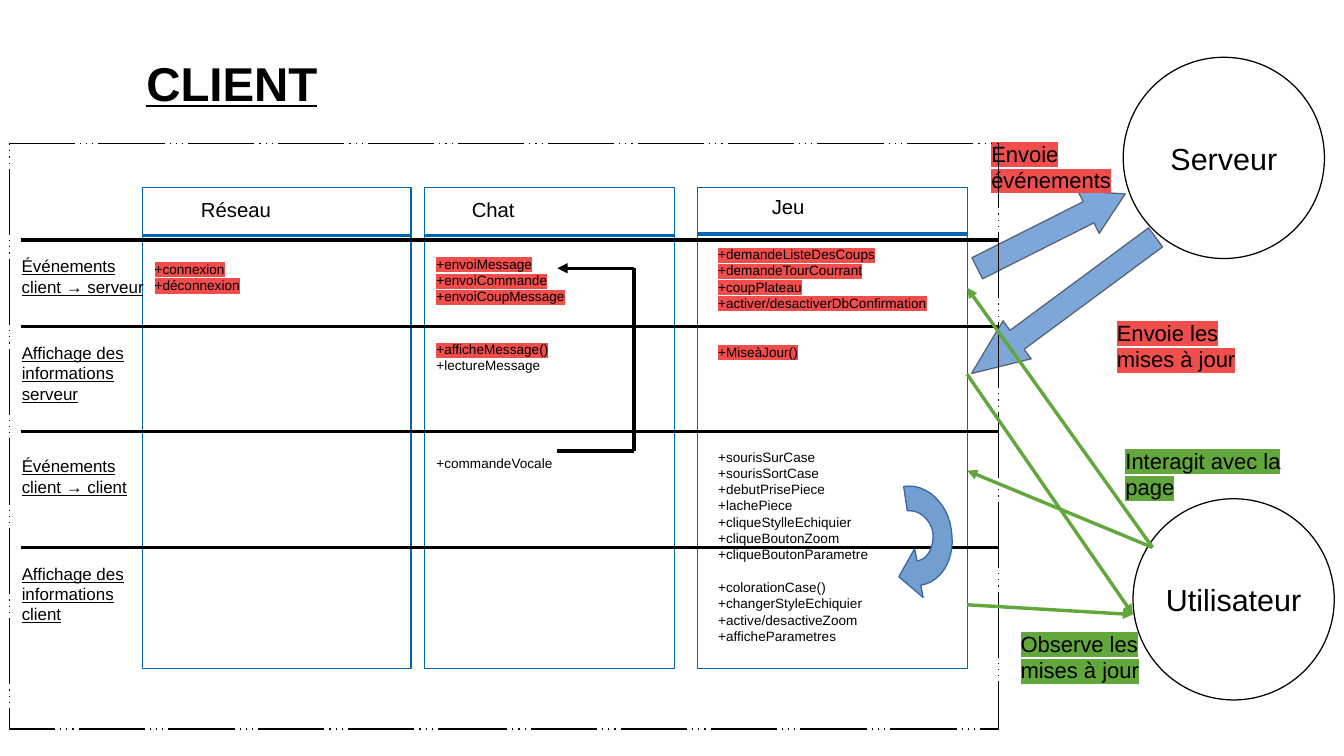
from lxml import etree
from pptx import Presentation
from pptx.dml.color import RGBColor
from pptx.enum.shapes import MSO_CONNECTOR, MSO_SHAPE
from pptx.enum.text import MSO_ANCHOR, MSO_AUTO_SIZE, PP_ALIGN
from pptx.oxml.ns import qn
from pptx.util import Inches, Pt

STRAIGHT = MSO_CONNECTOR.STRAIGHT
RECT, PROCESS = MSO_SHAPE.RECTANGLE, MSO_SHAPE.FLOWCHART_PROCESS
OVAL, ARROW = MSO_SHAPE.OVAL, MSO_SHAPE.RIGHT_ARROW
TOP, MIDDLE = MSO_ANCHOR.TOP, MSO_ANCHOR.MIDDLE
LEFT, CENTER = PP_ALIGN.LEFT, PP_ALIGN.CENTER
NO_AUTOFIT = MSO_AUTO_SIZE.NONE

COLORS = {"black": "000000", "blue": "0066B3", "red": "F04E4D", "green": "62A73B",
          "event": "7DA7D8", "loop": "729FCF", "loop_edge": "3465A4"}
FONT = "Arial"
SLIDE_W, SLIDE_H = 11.02, 6.2
FRAME = (0.08, 1.18, 8.11, 4.8)
COLUMN_TOP, COLUMN_H = 1.54, 3.94
ROW_LINES = [1.97, 2.68, 3.54, 4.49]
ROW_LEFT, ROW_RIGHT = 0.17, 8.19
ROW_LABELS = [("Événements\nclient → serveur", 1.37), ("Affichage des informations serveur", 1.12),
              ("Événements client → client", 1.18), ("Affichage des informations client", 1.21)]

COLUMNS = [
    {"name": "Jeu", "left": 5.72, "width": 2.21, "name_at": (6.23, 1.54),
     "divider": 1.92, "text_left": 5.79,
     "methods": [
         (1.97, "red", ["+demandeListeDesCoups", "+demandeTourCourrant", "+coupPlateau",
                        "+activer/desactiverDbConfirmation"]),
         (2.77, "red", ["+MiseàJour()"]),
         (3.63, None, ["+sourisSurCase", "+sourisSortCase", "+debutPrisePiece", "+lachePiece",
                       "+cliqueStylleEchiquier", "+cliqueBoutonZoom", "+cliqueBoutonParametre"]),
         (4.7, None, ["+colorationCase()", "+changerStyleEchiquier", "+active/desactiveZoom",
                      "+afficheParametres"])]},
    {"name": "Réseau", "left": 1.17, "width": 2.2, "name_at": (1.55, 1.57),
     "divider": 1.93, "text_left": 1.17,
     "methods": [(2.09, "red", ["+connexion", "+déconnexion"])]},
    {"name": "Chat", "left": 3.48, "width": 2.05, "name_at": (3.77, 1.57),
     "divider": 1.93, "text_left": 3.48,
     "methods": [
         (2.05, "red", ["+envoiMessage", "+envoiCommande", "+envoiCoupMessage"]),
         (2.75, "red", ["+afficheMessage()"]),
         (2.88, None, ["+lectureMessage"]),
         (3.68, None, ["+commandeVocale"])]},
]
ACTORS = [("Serveur", 9.21, 0.47), ("Utilisateur", 9.29, 4.09)]
ACTOR_SIZE = 1.65
EVENT_ARROWS = [((7.78, 2.31, 1.88, 0.39), 143.5, 1.196), ((7.94, 1.7, 1.36, 0.39), 333.3, 0.866)]
EXCHANGES = [("Envoie événements", 8.03, 1.1, "red"), ("Envoie les mises à jour", 9.06, 2.57, "red"),
             ("Interagit avec la page", 9.13, 3.62, "green"),
             ("Observe les mises à jour", 8.27, 5.12, "green")]
USER_LINKS = [((9.45, 4.49), (7.93, 2.36)), ((9.45, 4.49), (7.93, 3.86)),
              ((7.93, 3.07), (9.29, 5.04)), ((7.93, 4.96), (9.29, 5.04))]
VOICE_ROUTE = [(4.57, 3.7), (5.2, 3.7), (5.2, 2.2), (4.57, 2.2)]
LOOP_START = (7.52, 4.6)
LOOP_SEGMENTS = [[(7.61, 4.59), (7.66, 4.48), (7.65, 4.37)], [(7.63, 4.26), (7.54, 4.18), (7.44, 4.19)],
                 [(7.41, 3.99)], [(7.59, 3.96), (7.77, 4.12), (7.8, 4.34)],
                 [(7.84, 4.57), (7.73, 4.77), (7.55, 4.8)], [(7.57, 4.9)], [(7.37, 4.73)], [(7.5, 4.5)]]
CURVE_STEPS = 12
DASH_PATTERN = [(5300, 400), (100, 400), (100, 400), (100, 400)]

prs = Presentation()
prs.slide_width, prs.slide_height = Inches(SLIDE_W), Inches(SLIDE_H)
slide = prs.slides.add_slide(prs.slide_layouts[5])
shapes = slide.shapes


def rgb(name):
    return RGBColor.from_string(COLORS[name])


def write(shape, text, size, highlight=None, bold=False, underline=False,
          align=LEFT, anchor=TOP, wrap=True):
    frame = shape.text_frame
    frame.text = text
    frame.word_wrap = wrap
    frame.auto_size = NO_AUTOFIT
    frame.vertical_anchor = anchor
    for paragraph in frame.paragraphs:
        paragraph.alignment = align
        for run in paragraph.runs:
            font = run.font
            font.name, font.size, font.bold, font.underline = FONT, Pt(size), bold, underline
            font.color.rgb = rgb("black")
            if highlight:
                mark = etree.Element(qn("a:highlight"))
                etree.SubElement(mark, qn("a:srgbClr"), val=COLORS[highlight])
                run.font._element.find(qn("a:solidFill")).addnext(mark)


def label(text, left, top, width, height, size, **style):
    box = shapes.add_textbox(Inches(left), Inches(top), Inches(width), Inches(height))
    write(box, text, size, **style)


def style_shape(shape, line, fill=None):
    shape.shadow.inherit = False
    if fill:
        shape.fill.solid()
        shape.fill.fore_color.rgb = rgb(fill)
    else:
        shape.fill.background()
    shape.line.color.rgb = rgb(line)
    shape.line.width = Pt(0)


def draw(kind, box, line, fill=None):
    shape = shapes.add_shape(kind, *[Inches(v) for v in box])
    style_shape(shape, line, fill)
    return shape


def connect(start, end, color, arrow=False):
    link = shapes.add_connector(STRAIGHT, *[Inches(v) for v in (*start, *end)])
    link.line.color.rgb = rgb(color)
    link.line.width = Pt(0)
    if arrow:
        etree.SubElement(link.line._get_or_add_ln(), qn("a:tailEnd"), type="triangle")
    etree.SubElement(link._element.spPr, qn("a:effectLst"))


def bezier(p0, p1, p2, p3):
    for step in range(1, CURVE_STEPS + 1):
        t = step / CURVE_STEPS
        u = 1 - t
        yield tuple(u**3 * a + 3 * u * u * t * b + 3 * u * t * t * c + t**3 * d
                    for a, b, c, d in zip(p0, p1, p2, p3))


title = shapes.title
title.left, title.top, title.width, title.height = [Inches(v) for v in (1.1, 0.39, 3.03, 0.6)]
write(title, "CLIENT", 28, bold=True, underline=True)

for name, left, top in ACTORS:
    actor = draw(OVAL, (left, top, ACTOR_SIZE, ACTOR_SIZE), "black")
    write(actor, name, 18, align=CENTER, anchor=MIDDLE, wrap=False)

for box, angle, head in EVENT_ARROWS:
    event = draw(ARROW, box, "black", "event")
    event.rotation = angle
    event.adjustments[1] = head
    edge = event.line._get_or_add_ln().find(".//" + qn("a:srgbClr"))
    etree.SubElement(edge, qn("a:alpha"), val="50000")

for text, left, top, color in EXCHANGES:
    label(text, left, top, 1.5, 0.58, 13, highlight=color)

client = draw(RECT, FRAME, "black")
client.line.width = Pt(0.75)
dashes = etree.Element(qn("a:custDash"))
for dash, gap in DASH_PATTERN:
    etree.SubElement(dashes, qn("a:ds"), d=str(dash * 1000), sp=str(gap * 1000))
client.line._get_or_add_ln().find(qn("a:solidFill")).addnext(dashes)

for column in COLUMNS:
    left, width, divider = column["left"], column["width"], column["divider"]
    draw(PROCESS, (left, COLUMN_TOP, width, COLUMN_H), "blue")
    connect((left, divider), (left + width, divider), "blue")
    label(column["name"], *column["name_at"], 1.63, 0.35, 12)
    for top, color, methods in column["methods"]:
        label("\n".join(methods), column["text_left"], top, width,
              0.1 + 0.14 * len(methods), 8, highlight=color)

for line_y, (text, width) in zip(ROW_LINES, ROW_LABELS):
    connect((ROW_LEFT, line_y), (ROW_RIGHT, line_y), "black")
    label(text, FRAME[0], line_y + 0.08 if line_y != 3.54 else 3.69, width, 0.6, 10, underline=True)

for start, end in USER_LINKS:
    connect(start, end, "green", arrow=True)

outline, current = [], LOOP_START
for segment in LOOP_SEGMENTS:
    outline += bezier(current, *segment) if len(segment) == 3 else segment
    current = segment[-1]
builder = shapes.build_freeform(*[Inches(v) for v in LOOP_START])
builder.add_line_segments([(Inches(x), Inches(y)) for x, y in outline], close=True)
style_shape(builder.convert_to_shape(), "loop_edge", "loop")

for start, end in zip(VOICE_ROUTE, VOICE_ROUTE[1:]):
    connect(start, end, "black", arrow=end == VOICE_ROUTE[-1])

prs.save("out.pptx")
